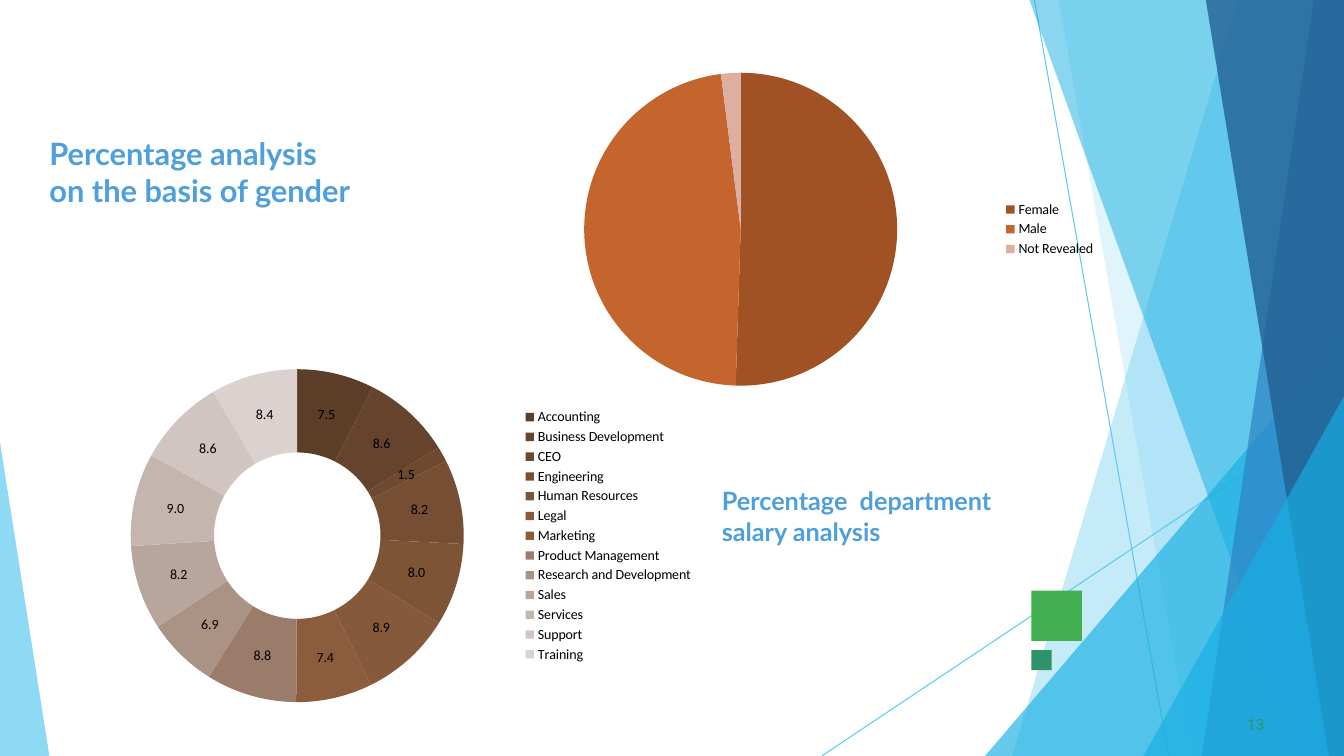
from typing import NamedTuple

from lxml import etree
from pptx import Presentation
from pptx import util as u
from pptx.chart.data import CategoryChartData
from pptx.dml.color import RGBColor
from pptx.enum import chart as charts, shapes, text
from pptx.oxml import parse_xml
from pptx.oxml.ns import nsdecls, qn

COLOURS = {
    "sky": "5FCAEE", "cyan": "17AFE3", "blue": "2D83C3", "navy": "226192",
    "green": "42AF51", "teal": "2D936B", "heading": "4E9FDB",
    "black": "000000",
}
GENDER_COLOURS = {"Female": "A05224", "Male": "C4652D", "Not Revealed": "DCAFA1"}
DEPARTMENT_COLOURS = {
    "Accounting": "5C3D28", "Business Development": "65432C", "CEO": "6E4930",
    "Engineering": "764E33", "Human Resources": "7E5437", "Legal": "85593A",
    "Marketing": "8B5D3D", "Product Management": "9B7B69",
    "Research and Development": "AA9285", "Sales": "B8A59B",
    "Services": "C4B5AE", "Support": "D0C5C0", "Training": "DBD2CF",
}
GENDER_SHARES = (50, 47, 2)
DEPARTMENT_SHARES = (7.5, 8.6, 1.5, 8.2, 8, 8.9, 7.4, 8.8, 6.9, 8.2, 9, 8.6, 8.4)


class Box(NamedTuple):
    """A region of the page in inches."""

    left: float
    top: float
    width: float
    height: float

    def lengths(self):
        """Return the four measures as lengths."""
        return [u.Inches(measure) for measure in self]


def paint(shape, colour, opacity=100):
    """Fill a shape without outline or shadow, at a given opacity in percent."""
    shape.shadow.inherit = False
    shape.line.fill.background()
    shape.fill.solid()
    shape.fill.fore_color.rgb = RGBColor.from_string(colour)
    if opacity < 100:
        tint = shape.fill._xPr.find(".//" + qn("a:srgbClr"))
        etree.SubElement(tint, qn("a:alpha"), val=str(opacity * 1000))


def add_line(page, start, end):
    """Draw one thin decorative line."""
    ends = [u.Inches(value) for value in (*start, *end)]
    line = page.shapes.add_connector(shapes.MSO_CONNECTOR.STRAIGHT, *ends)
    line.line.width = u.Pt(0.75)
    line.line.color.rgb = RGBColor.from_string(COLOURS["sky"])
    etree.SubElement(line._element.spPr, qn("a:effectLst"))


def add_facet(page, wall, top, upper, lower, bottom, colour, opacity):
    """Draw a translucent facet between a page side and a slanted edge."""
    corners = dict.fromkeys([(wall, top), (upper, top), (lower, bottom), (wall, bottom)])
    first, *others = [(u.Inches(x), u.Inches(y)) for x, y in corners]
    outline = page.shapes.build_freeform(*first)
    outline.add_line_segments(others, close=True)
    paint(outline.convert_to_shape(), COLOURS[colour], opacity)


def add_backdrop(page, box):
    """Draw the lines and facets along both sides of the page."""
    right, bottom = box.left + box.width, box.top + box.height
    add_line(page, (right - 3.07, box.top), (right - 1.74, bottom))
    add_line(page, (right, box.top + 4.04), (right - 5.18, bottom))
    for drop, upper, lower, colour, opacity in (
        (0, 1.05, 3.29, "sky", 36),
        (0, 2.83, 1.51, "sky", 20),
        (3.33, 0, 3.56, "cyan", 66),
        (0, 3.12, 0.42, "cyan", 50),
        (0, 0.3, 1.41, "blue", 70),
        (0, 1.37, 0.15, "navy", 80),
        (3.93, 0, 1.99, "cyan", 66),
    ):
        add_facet(page, right, box.top + drop, right - upper, right - lower,
                  bottom, colour, opacity)
    add_facet(page, box.left, box.top + 4.39, box.left, box.left + 0.49,
              bottom, "sky", 70)


def add_squares(page, box):
    """Stack a large and a small square at the left of the box."""
    for drop, side, colour in ((0, 0.5, "green"), (0.59, 0.2, "teal")):
        place = Box(box.left, box.top + drop, side, side)
        square = page.shapes.add_shape(shapes.MSO_SHAPE.RECTANGLE, *place.lengths())
        paint(square, COLOURS[colour])


def add_words(page, box, lines, size, colour, font="Lato", bold=True):
    """Write lines of one paragraph at the top left of the box."""
    frame = page.shapes.add_textbox(*box.lengths()).text_frame
    frame.word_wrap = True
    frame.vertical_anchor = text.MSO_ANCHOR.TOP
    frame.margin_left = frame.margin_right = frame.margin_bottom = 0
    frame.margin_top = u.Inches(0.01)
    para = frame.paragraphs[0]
    for index, line in enumerate(lines):
        if index:
            para.add_line_break()
        span = para.add_run()
        span.text = line
        span.font.name, span.font.size, span.font.bold = font, u.Pt(size), bold
        span.font.color.rgb = RGBColor.from_string(COLOURS[colour])


def add_share_chart(page, box, kind, shares, colours, plot):
    """Place a round chart with a legend on the right and return it."""
    data = CategoryChartData()
    data.categories = list(colours)
    data.add_series("Series 1", shares)
    chart = page.shapes.add_chart(kind, *box.lengths(), data).chart
    chart.has_title = False
    chart.font.name, chart.font.size = "Calibri", u.Pt(10)
    chart.font.color.rgb = RGBColor.from_string(COLOURS["black"])
    chart.has_legend = True
    chart.legend.position = charts.XL_LEGEND_POSITION.RIGHT
    chart.legend.include_in_layout = False
    chart.plots[0].vary_by_categories = True
    for index, colour in enumerate(colours.values()):
        wedge = chart.plots[0].series[0].points[index].format
        wedge.fill.solid()
        wedge.fill.fore_color.rgb = RGBColor.from_string(colour)
        wedge.line.fill.background()
    area = chart._chartSpace.chart.plotArea
    for layout in area.findall(qn("c:layout")):
        area.remove(layout)
    measures = "".join(f'<c:{name} val="{value}"/>' for name, value in zip("xywh", plot))
    area.insert(0, parse_xml(
        f'<c:layout {nsdecls("c")}><c:manualLayout><c:layoutTarget val="inner"/>'
        f'<c:xMode val="edge"/><c:yMode val="edge"/>{measures}'
        "</c:manualLayout></c:layout>"))
    return chart


def add_gender_chart(page, box):
    """Place the pie of genders."""
    add_share_chart(page, box, charts.XL_CHART_TYPE.PIE, GENDER_SHARES,
                    GENDER_COLOURS, (0.03, 0.05, 0.72, 0.9))


def add_department_chart(page, box):
    """Place the labelled ring of departments."""
    chart = add_share_chart(page, box, charts.XL_CHART_TYPE.DOUGHNUT, DEPARTMENT_SHARES,
                            DEPARTMENT_COLOURS, (0.03, 0.04, 0.65, 0.92))
    plot = chart.plots[0]
    plot.has_data_labels = True
    labels = plot.data_labels
    labels.show_value, labels.show_percentage = True, False
    labels.number_format, labels.number_format_is_linked = "0.0", False


def main():
    """Build the deck with its one page and save it."""
    deck = Presentation()
    deck.slide_width, deck.slide_height = u.Inches(13.33), u.Inches(7.5)
    page = deck.slides.add_slide(deck.slide_layouts[6])
    add_backdrop(page, Box(0, 0, 13.33, 7.5))
    add_squares(page, Box(10.23, 5.86, 0.5, 0.79))
    add_words(page, Box(0.49, 1.33, 5.78, 2.37),
              ("Percentage analysis", "on the basis of gender"), 22, "heading")
    add_words(page, Box(12.37, 7.08, 0.25, 0.21), ("13",), 11, "teal", "Roboto", False)
    add_words(page, Box(7.16, 4.81, 3.47, 0.67),
              ("Percentage  department", "salary analysis"), 18, "heading")
    add_gender_chart(page, Box(5.03, 0.55, 5.94, 3.45))
    add_department_chart(page, Box(0.73, 3.52, 6.25, 3.59))
    deck.save("out.pptx")


if __name__ == "__main__":
    main()
